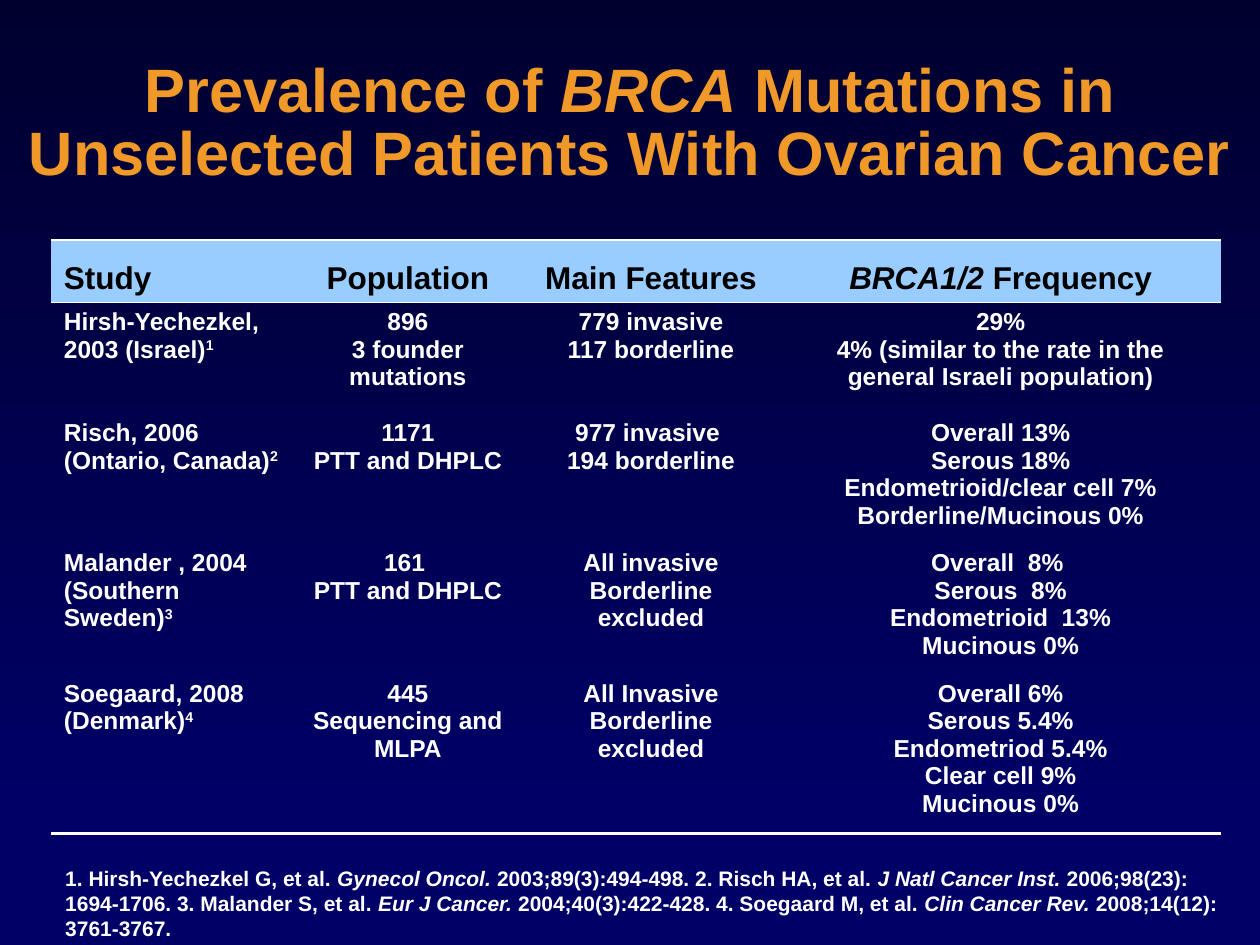
"""Build a slide with a table of BRCA mutation prevalence in ovarian cancer."""
from dataclasses import dataclass

from lxml import etree
from pptx import Presentation
from pptx.dml.color import RGBColor
from pptx.enum.shapes import MSO_SHAPE
from pptx.enum.text import MSO_ANCHOR, PP_ALIGN
from pptx.oxml.ns import qn
from pptx.util import Pt

RECT = MSO_SHAPE.RECTANGLE
LEFT, CENTER = PP_ALIGN.LEFT, PP_ALIGN.CENTER
TOP, MIDDLE, BOTTOM = MSO_ANCHOR.TOP, MSO_ANCHOR.MIDDLE, MSO_ANCHOR.BOTTOM
BLACK = RGBColor(0x00, 0x00, 0x00)
WHITE = RGBColor(0xFF, 0xFF, 0xFF)
ORANGE = RGBColor(0xF0, 0x98, 0x28)
SKY = RGBColor(0x99, 0xCC, 0xFF)
NIGHT = RGBColor(0x00, 0x00, 0x2F)
NAVY = RGBColor(0x00, 0x00, 0x66)
FONT = "Arial"
NO_STYLE = "{2D5ABB26-0587-4C30-8999-92F81FD0307C}"
THICK, THIN = 1.5, 0.45


@dataclass(frozen=True)
class TextStyle:
    size: float
    color: RGBColor
    align: PP_ALIGN = LEFT
    spacing: float = 1.0
    shadow: bool = False


@dataclass(frozen=True)
class Study:
    name: str
    population: str
    features: str
    frequency: str
    height: float

    def cells(self) -> tuple[str, ...]:
        return self.name, self.population, self.features, self.frequency


TITLE_STYLE = TextStyle(35, ORANGE, CENTER, 0.85, True)
REFERENCE_STYLE = TextStyle(12, WHITE)
TITLE = "Prevalence of *BRCA* Mutations in Unselected Patients With Ovarian Cancer"
REFERENCES = (
    "1. Hirsh-Yechezkel G, et al. *Gynecol Oncol. *2003;89(3):494-498. "
    "2. Risch HA, et al. *J Natl Cancer Inst. *2006;98(23):\v1694-1706. "
    "3. Malander S, et al. *Eur J Cancer. *2004;40(3):422-428. "
    "4. Soegaard M, et al. *Clin Cancer Rev. *2008;14(12):\v3761-3767."
)
COLUMNS = (139, 129.6, 148.3, 251.3)
ROWS = (
    Study("Study", "Population", "Main Features", "*BRCA1/2* Frequency", 35.3),
    Study("Hirsh-Yechezkel, 2003 (Israel)^1", "896\n3 founder mutations",
          "779 invasive\n117 borderline",
          "29%\n4% (similar to the rate in the general Israeli population)", 63.4),
    Study("Risch, 2006\n(Ontario, Canada)^2", "1171\nPTT and DHPLC",
          "977 invasive \n194 borderline",
          "Overall 13%\nSerous 18%\nEndometrioid/clear cell 7%\n"
          "Borderline/Mucinous 0%", 74.2),
    Study("Malander , 2004\n(Southern Sweden)^3", "161 \nPTT and DHPLC",
          "All invasive\nBorderline excluded",
          "Overall  8% \nSerous  8%\nEndometrioid  13%\nMucinous 0%", 74.2),
    Study("Soegaard, 2008\n(Denmark)^4", "445\nSequencing and MLPA",
          "All Invasive\nBorderline excluded",
          "Overall 6%\nSerous 5.4%\nEndometriod 5.4%\nClear cell 9%\n"
          "Mucinous 0%", 91.4),
)


def add_text_shadow(r) -> None:
    """Give a formatted run a soft black shadow."""
    fill = r._r.rPr.find(qn("a:solidFill"))
    effects = etree.Element(qn("a:effectLst"))
    shadow = etree.SubElement(effects, qn("a:outerShdw"), dist="38100", dir="2700000")
    etree.SubElement(shadow, qn("a:srgbClr"), val=str(BLACK))
    fill.addnext(effects)


def add_run(p, text: str, style: TextStyle, italic: bool, raised: bool) -> None:
    """Append one bold run to a paragraph."""
    r = p.add_run()
    r.text = text
    f = r.font
    f.name, f.size, f.bold, f.italic = FONT, Pt(style.size), True, italic
    f.color.rgb = style.color
    if raised:
        r._r.rPr.set("baseline", "30000")
    if style.shadow:
        add_text_shadow(r)


def add_lines(p, text: str, style: TextStyle, italic: bool) -> None:
    """Append text whose lines are parted by vertical tabs."""
    for i, line in enumerate(text.split("\v")):
        if i:
            p.add_line_break()
            br = p._p.findall(qn("a:br"))[-1]
            etree.SubElement(br, qn("a:rPr"), sz=str(style.size * 100), b="1")
        add_run(p, line, style, italic, False)


def write(tf, text: str, style: TextStyle) -> None:
    """Write paragraphs with *italic* spans and a ^superscript ending."""
    tf.text = "\n" * text.count("\n")
    for p, content in zip(tf.paragraphs, text.split("\n")):
        p.alignment = style.align
        p.line_spacing = style.spacing
        body, _, note = content.partition("^")
        for i, part in enumerate(body.split("*")):
            if part:
                add_lines(p, part, style, i % 2 == 1)
        if note:
            add_run(p, note, style, False, True)


def add_text(s, x: float, y: float, w: float, h: float, text: str,
             style: TextStyle, anchor: MSO_ANCHOR) -> None:
    """Add a wrapped text box."""
    tf = s.shapes.add_textbox(Pt(x), Pt(y), Pt(w), Pt(h)).text_frame
    tf.word_wrap = True
    tf.vertical_anchor = anchor
    write(tf, text, style)


def set_borders(cell, top: float, bottom: float) -> None:
    """Draw the white top and bottom borders of a cell; zero means none."""
    tc_pr = cell._tc.get_or_add_tcPr()
    for i, (tag, width) in enumerate((("a:lnL", 0), ("a:lnR", 0),
                                      ("a:lnT", top), ("a:lnB", bottom))):
        ln = etree.Element(qn(tag), w=str(int(Pt(width))))
        if width:
            fill = etree.SubElement(ln, qn("a:solidFill"))
            etree.SubElement(fill, qn("a:srgbClr"), val=str(WHITE))
        else:
            etree.SubElement(ln, qn("a:noFill"))
        tc_pr.insert(i, ln)


def add_table(s, x: float, y: float, rows: tuple[Study, ...]) -> None:
    """Add the study table with a filled header row."""
    height = sum(row.height for row in rows)
    table = s.shapes.add_table(len(rows), len(COLUMNS), Pt(x), Pt(y),
                               Pt(sum(COLUMNS)), Pt(height)).table
    table.first_row = table.horz_banding = False
    table._tbl.tblPr.find(qn("a:tableStyleId")).text = NO_STYLE
    for column, width in zip(table.columns, COLUMNS):
        column.width = Pt(width)
    rules = (THICK, THIN) + (0,) * (len(rows) - 2) + (THICK,)
    for i, row in enumerate(rows):
        table.rows[i].height = Pt(row.height)
        size, color = (14, WHITE) if i else (18, BLACK)
        for j, text in enumerate(row.cells()):
            cell = table.cell(i, j)
            cell.vertical_anchor = TOP if i else BOTTOM
            if i:
                cell.fill.background()
            else:
                cell.fill.solid()
                cell.fill.fore_color.rgb = SKY
            set_borders(cell, rules[i], rules[i + 1])
            write(cell.text_frame, text,
                  TextStyle(size, color, CENTER if j else LEFT))


def add_backdrop(s) -> None:
    """Fill the slide navy, with a gradient over its upper part."""
    s.background.fill.solid()
    s.background.fill.fore_color.rgb = NAVY
    sp = s.shapes.add_shape(RECT, Pt(0), Pt(0), Pt(720), Pt(462))
    sp.shadow.inherit = False
    sp.line.fill.background()
    sp.fill.gradient()
    sp.fill.gradient_angle = 270
    for stop, color in zip(sp.fill.gradient_stops, (NIGHT, NAVY)):
        stop.color.rgb = color


def main() -> None:
    """Build and save the slide."""
    prs = Presentation()
    prs.slide_width, prs.slide_height = Pt(720), Pt(540)
    s = prs.slides.add_slide(prs.slide_layouts[6])
    add_backdrop(s)
    add_text(s, 0, 26.6, 720, 90, TITLE, TITLE_STYLE, MIDDLE)
    add_table(s, 29.3, 137.3, ROWS)
    add_text(s, 30.2, 491, 689.8, 50.4, REFERENCES, REFERENCE_STYLE, TOP)
    prs.save("out.pptx")


if __name__ == "__main__":
    main()
